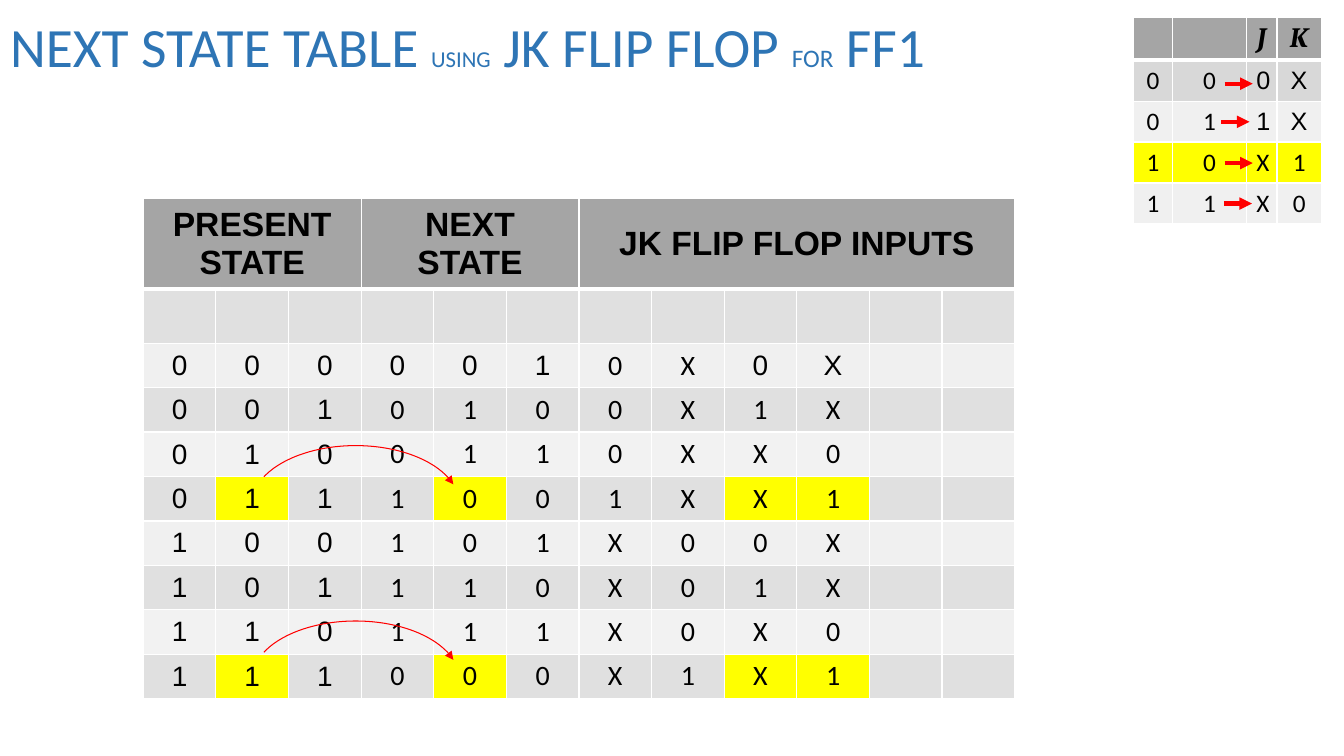
from dataclasses import dataclass

from lxml.etree import SubElement
from pptx import Presentation
from pptx.dml.color import RGBColor
from pptx.enum.shapes import MSO_CONNECTOR, MSO_SHAPE
from pptx.enum.text import MSO_ANCHOR, MSO_AUTO_SIZE, PP_ALIGN
from pptx.oxml.ns import qn
from pptx.util import Cm, Pt


@dataclass(frozen=True)
class Theme:
    title: str = "2E75B5"
    text: str = "000000"
    header: str = "A5A5A5"
    dark_band: str = "E0E0E0"
    light_band: str = "F0F0F0"
    pale_band: str = "F2F2F2"
    key_band: str = "D8D8D8"
    highlight: str = "FFFF00"
    border: str = "FFFFFF"
    arrow: str = "FF0000"
    body_font: str = "Calibri"
    digit_font: str = "Arial"
    math_font: str = "Cambria"
    title_size: float = 39.6
    using_size: float = 16.2
    for_size: float = 18
    header_size: float = 24
    state_size: float = 20
    key_size: float = 18


# Present Q2 Q1 Q0, next Q2 Q1 Q0, J2 K2 J1 K1
TRANSITIONS = [
    "0 0 0 0 0 1 0 X 0 X",
    "0 0 1 0 1 0 0 X 1 X",
    "0 1 0 0 1 1 0 X X 0",
    "0 1 1 1 0 0 1 X X 1",
    "1 0 0 1 0 1 X 0 0 X",
    "1 0 1 1 1 0 X 0 1 X",
    "1 1 0 1 1 1 X 0 X 0",
    "1 1 1 0 0 0 X 1 X 1",
]
EXCITATION = ["0 0 0 X", "0 1 1 X", "1 0 X 1", "1 1 X 0"]
HEADINGS = [("PRESENT STATE", 3), ("NEXT STATE", 3), ("JK FLIP FLOP INPUTS", 6)]
FF1_COLUMNS = (1, 4, 8, 9)


class SlideBuilder:
    def __init__(self, page, theme):
        self.page = page
        self.theme = theme

    def title(self, parts):
        box = self.page.shapes.title
        box.left, box.top, box.width, box.height = Cm(0), Cm(0), Cm(25.37), Cm(2.51)
        frame = box.text_frame
        frame.auto_size = MSO_AUTO_SIZE.NONE
        frame.vertical_anchor = MSO_ANCHOR.MIDDLE
        para = frame.paragraphs[0]
        para.alignment = PP_ALIGN.LEFT
        para.line_spacing = 0.9
        para.font.name = self.theme.body_font
        para.font.color.rgb = RGBColor.from_string(self.theme.title)
        for text, size in parts:
            span = para.add_run()
            span.text = text
            span.font.size = Pt(size)

    def grid(self, left, top, widths, heights):
        """Add a table with white rules and a thick rule under its first row."""
        frame = self.page.shapes.add_table(
            len(heights), len(widths), Cm(left), Cm(top), Cm(sum(widths)), Cm(sum(heights)))
        table = frame.table
        table.first_row = table.horz_banding = False
        for column, width in zip(table.columns, widths):
            column.width = Cm(width)
        for index, (row, height) in enumerate(zip(table.rows, heights)):
            row.height = Cm(height)
            for cell in row.cells:
                self.borders(cell, top=3 if index == 1 else 1, bottom=3 if index == 0 else 1)
        return table

    def borders(self, cell, top, bottom):
        properties = cell._tc.get_or_add_tcPr()
        for tag, width in (("a:lnL", 1), ("a:lnR", 1), ("a:lnT", top), ("a:lnB", bottom)):
            line = SubElement(properties, qn(tag), w=str(Pt(width)))
            fill = SubElement(line, qn("a:solidFill"))
            SubElement(fill, qn("a:srgbClr"), val=self.theme.border)

    def cell(self, cell, fill, text="", size=18, font=None, bold=False, italic=False):
        cell.fill.solid()
        cell.fill.fore_color.rgb = RGBColor.from_string(fill)
        cell.vertical_anchor = MSO_ANCHOR.MIDDLE
        if not text:
            return
        para = cell.text_frame.paragraphs[0]
        para.text = text
        para.alignment = PP_ALIGN.CENTER
        para.font.size = Pt(size)
        para.font.name = font or self.theme.body_font
        para.font.bold = bold
        para.font.italic = italic
        para.font.color.rgb = RGBColor.from_string(self.theme.text)

    def state_table(self):
        theme = self.theme
        table = self.grid(3.61, 5, [1.83] * 12, [2.29, 1.36] + [1.09] * 8)
        start = 0
        for heading, count in HEADINGS:
            table.cell(0, start).merge(table.cell(0, start + count - 1))
            self.cell(table.cell(0, start), theme.header, heading,
                      theme.header_size, theme.digit_font, bold=True)
            start += count
        for column in range(12):
            self.cell(table.cell(1, column), theme.dark_band)
        for row, transition in enumerate(TRANSITIONS, start=2):
            values = transition.split() + ["", ""]
            for column, value in enumerate(values):
                fill = theme.dark_band if row % 2 else theme.light_band
                if row % 4 == 0 and column < 10:
                    fill = theme.pale_band
                if values[9] == "1" and column in FF1_COLUMNS:
                    fill = theme.highlight
                in_arial = column < 3 or (row == 2 and column not in (6, 7))
                self.cell(table.cell(row, column), fill, value, theme.state_size,
                          theme.digit_font if in_arial else theme.body_font)

    def excitation_table(self):
        theme = self.theme
        table = self.grid(28.56, 0.43, [0.99, 1.86, 0.77, 1.12], [1.09] + [1.02] * 4)
        for column, name in enumerate(["", "", "J", "K"]):
            self.cell(table.cell(0, column), theme.header, name, theme.state_size,
                      theme.math_font, bold=True, italic=True)
        fills = [theme.key_band, theme.light_band, theme.highlight, theme.light_band]
        for row, (values, fill) in enumerate(zip(EXCITATION, fills), start=1):
            for column, value in enumerate(values.split()):
                in_arial = row < 3 and column > 1
                self.cell(table.cell(row, column), fill, value, theme.key_size,
                          theme.digit_font if in_arial else theme.body_font)

    def arrow_line(self, shape, width):
        """Colour the outline and end it with an arrowhead."""
        shape.line.color.rgb = RGBColor.from_string(self.theme.arrow)
        shape.line.width = Pt(width)
        outline = shape._element.spPr.find(qn("a:ln"))
        SubElement(outline, qn("a:tailEnd"), type="triangle")

    def arrow(self, left, top):
        line = self.page.shapes.add_connector(
            MSO_CONNECTOR.STRAIGHT, Cm(left), Cm(top), Cm(left + 0.71), Cm(top))
        self.arrow_line(line, 3)
        SubElement(line._element.spPr, qn("a:effectLst"))

    def arc(self, top):
        arc = self.page.shapes.add_shape(
            MSO_SHAPE.ARC, Cm(6.35), Cm(top), Cm(5.23), Cm(2.95))
        arc.adjustments[0] = 117.94
        arc.adjustments[1] = 209.15
        arc.fill.background()
        arc.shadow.inherit = False
        self.arrow_line(arc, 0.75)


def main():
    deck = Presentation()
    deck.slide_width, deck.slide_height = Cm(33.87), Cm(19.05)
    theme = Theme()
    slide = SlideBuilder(deck.slides.add_slide(deck.slide_layouts[5]), theme)
    slide.title([
        ("NEXT STATE TABLE ", theme.title_size),
        ("USING", theme.using_size),
        (" JK FLIP FLOP ", theme.title_size),
        ("FOR", theme.for_size),
        (" FF1", theme.title_size),
    ])
    slide.state_table()
    slide.excitation_table()
    for left, top in ((30.86, 2.11), (30.78, 3.07), (30.86, 4.11), (30.84, 5.13)):
        slide.arrow(left, top)
    for top in (11.23, 15.65):
        slide.arc(top)
    deck.save("out.pptx")


if __name__ == "__main__":
    main()
